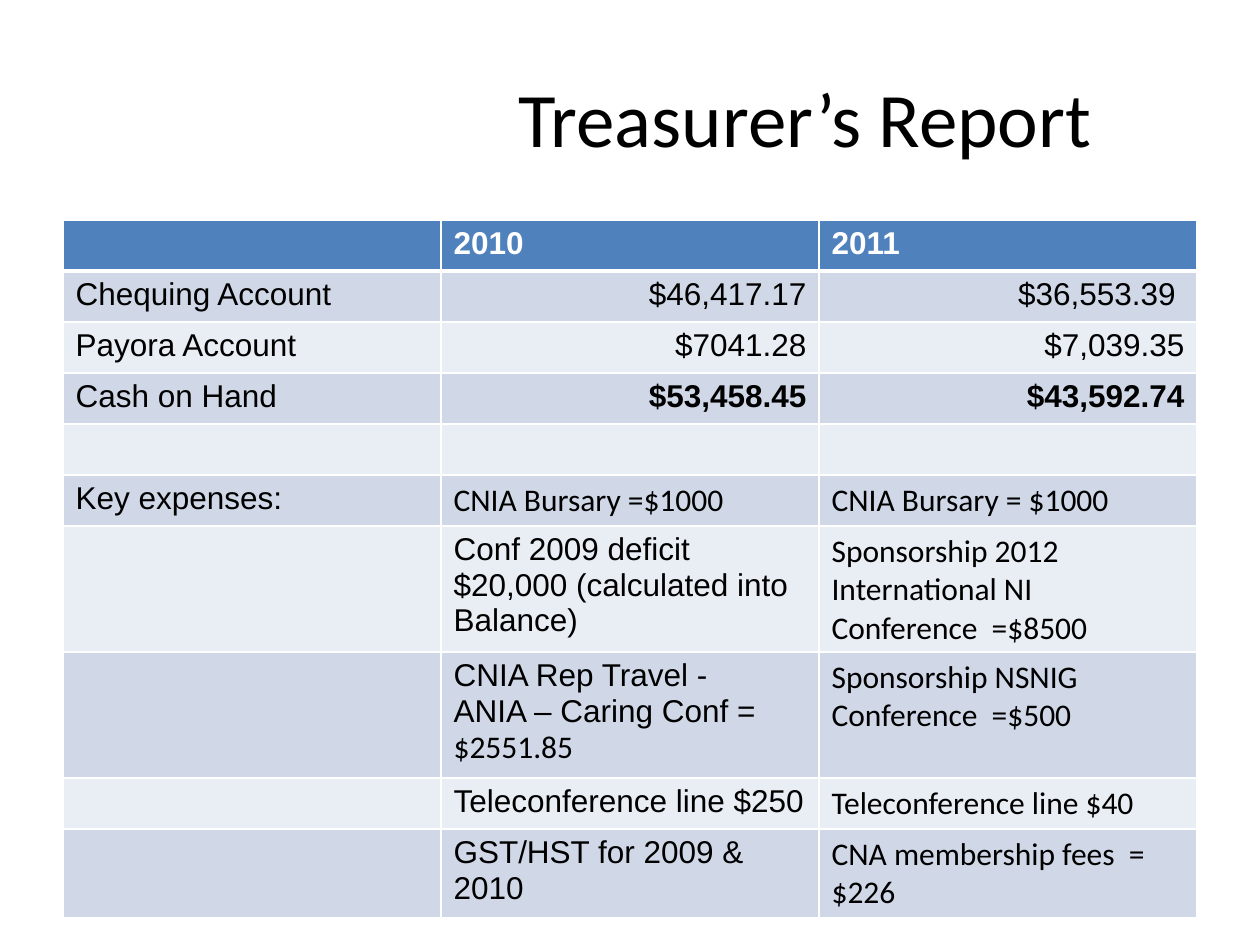
from lxml.etree import SubElement
from pptx import Presentation
from pptx.dml.color import RGBColor
from pptx.enum.text import MSO_ANCHOR, PP_ALIGN
from pptx.oxml.ns import qn
from pptx.util import Pt

PX = 914400 / 126
BLACK = RGBColor(0x00, 0x00, 0x00)
WHITE = RGBColor(0xFF, 0xFF, 0xFF)
HEADER_BLUE = RGBColor(0x4F, 0x81, 0xBD)
BAND_DARK = RGBColor(0xD0, 0xD8, 0xE8)
BAND_LIGHT = RGBColor(0xE9, 0xED, 0xF4)

ROWS = [
    ("", "2010", "2011"),
    ("Chequing Account", "$46,417.17", "$36,553.39 "),
    ("Payora Account", "$7041.28", "$7,039.35"),
    ("Cash on Hand", "$53,458.45", "$43,592.74"),
    ("", "", ""),
    ("Key expenses:", "CNIA Bursary =$1000", "CNIA Bursary = $1000"),
    ("", "Conf 2009 deficit $20,000 (calculated into Balance)",
     "Sponsorship 2012 International NI Conference  =$8500"),
    ("", "CNIA Rep Travel -\nANIA – Caring Conf =\n$2551.85",
     "Sponsorship NSNIG Conference  =$500"),
    ("", "Teleconference line $250", "Teleconference line $40"),
    ("", "GST/HST for 2009 & 2010", "CNA membership fees  = $226"),
]
BALANCE_ROWS = range(1, 4)
TOTAL_ROW = 3
EXPENSES_ROW = 5
CALIBRI_2010 = ("CNIA Bursary =$1000", "$2551.85")


def px(length):
    return round(length * PX)


def add_borders(cell, bottom_width):
    properties = cell._tc.get_or_add_tcPr()
    for side, width in (("L", 1), ("R", 1), ("T", 1), ("B", bottom_width)):
        line = SubElement(properties, qn(f"a:ln{side}"), w=str(Pt(width)))
        fill = SubElement(line, qn("a:solidFill"))
        SubElement(fill, qn("a:srgbClr"), val=str(WHITE))


presentation = Presentation()
presentation.slide_width = px(1260)
presentation.slide_height = px(945)
slide = presentation.slides.add_slide(presentation.slide_layouts[6])

# Title
title = slide.shapes.add_textbox(px(413), px(38), px(784), px(157)).text_frame
title.word_wrap = True
title.vertical_anchor = MSO_ANCHOR.MIDDLE
heading = title.paragraphs[0]
heading.text = "Treasurer’s Report"
heading.alignment = PP_ALIGN.CENTER
heading.font.name = "Calibri"
heading.font.size = Pt(44)
heading.font.color.rgb = BLACK

# Balances and key expenses by year
report = slide.shapes.add_table(
    len(ROWS), 3, px(63), px(220), px(1134), px(51 * len(ROWS))).table

for r, row in enumerate(ROWS):
    is_header = r == 0
    band = BAND_DARK if r % 2 else BAND_LIGHT
    for c, text in enumerate(row):
        cell = report.cell(r, c)
        add_borders(cell, 3 if is_header else 1)
        cell.fill.solid()
        cell.fill.fore_color.rgb = HEADER_BLUE if is_header else band
        cell.text = text
        for paragraph in cell.text_frame.paragraphs:
            is_calibri = (c == 2 and r >= EXPENSES_ROW) or paragraph.text in CALIBRI_2010
            paragraph.font.name = "Calibri" if is_calibri else "Arial"
            paragraph.font.size = Pt(18)
            paragraph.font.bold = is_header or (r == TOTAL_ROW and c > 0)
            paragraph.font.color.rgb = WHITE if is_header else BLACK
            if r in BALANCE_ROWS and c > 0:
                paragraph.alignment = PP_ALIGN.RIGHT

presentation.save("out.pptx")
